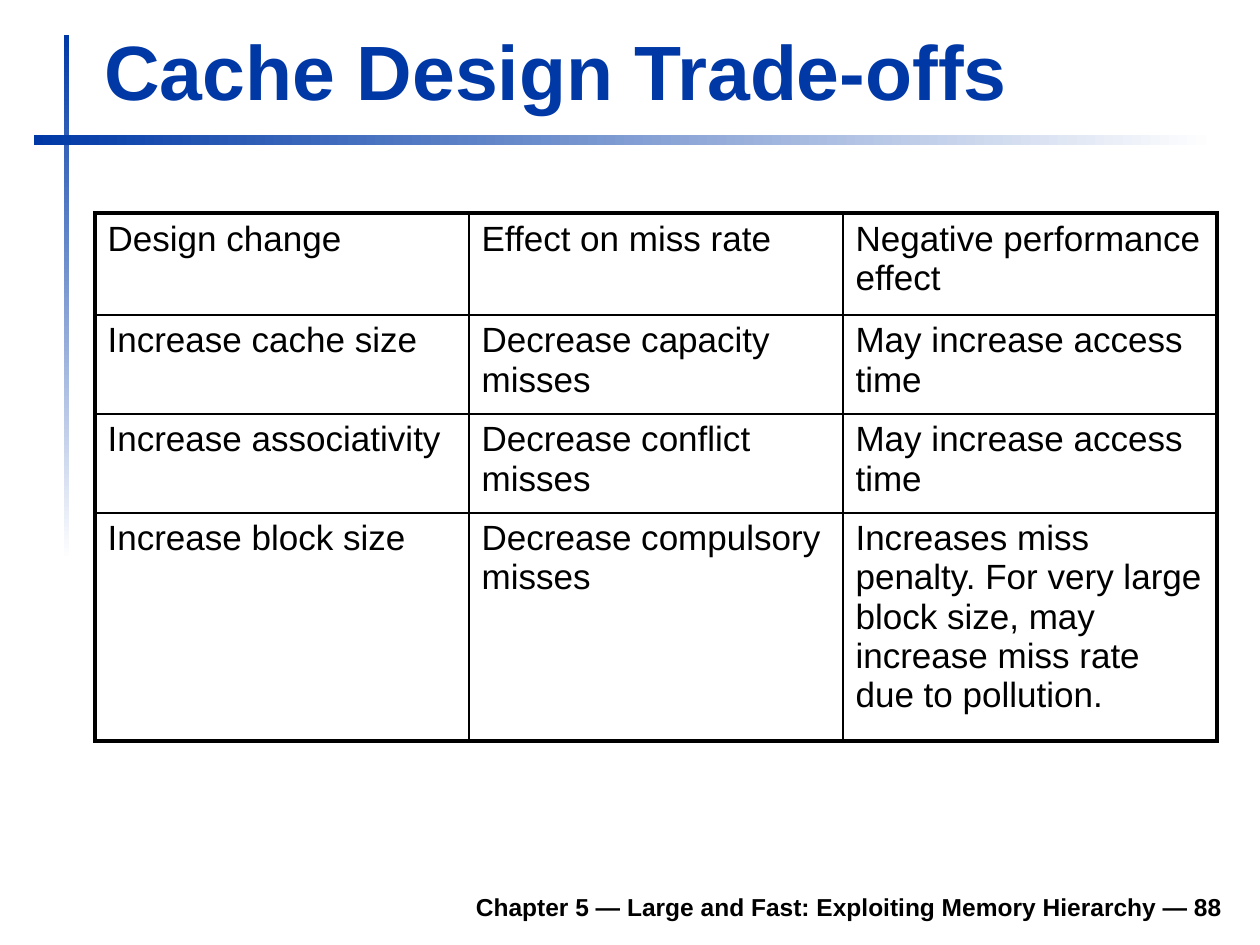
"""Build the slide on cache design trade-offs."""
import pptx
import pptx.dml.color
import pptx.enum.shapes
import pptx.enum.text
import pptx.oxml.ns
import pptx.util
import lxml.etree

BLUE, BLACK, WHITE = "0039A6", "000000", "FFFFFF"
FONT = "Arial"
TITLE = "Cache Design Trade-offs"
FOOTER = "Chapter 5 — Large and Fast: Exploiting Memory Hierarchy — 88"
ROWS = [
    ("Design change", "Effect on miss rate", "Negative performance effect"),
    ("Increase cache size", "Decrease capacity misses", "May increase access time"),
    ("Increase associativity", "Decrease conflict misses", "May increase access time"),
    ("Increase block size", "Decrease compulsory misses",
     "Increases miss penalty. For very large block size, may increase "
     "miss rate due to pollution."),
]
WIDTHS = [374] * 3
HEIGHTS = [102, 99, 99, 228]
ACROSS = [2.25, 1.5, 1, 1, 2.25]
DOWN = [2.25, 1, 1, 2.25]
BARS = [((64, 35, 5, 525), 270), ((34, 135, 1181, 10), 0)]
ALIGN = pptx.enum.text.PP_ALIGN
qn = pptx.oxml.ns.qn


def px(*nums):
    return [pptx.util.Emu(round(n * 914400 / 126)) for n in nums]


def tint(code):
    return pptx.dml.color.RGBColor.from_string(code)


def write(frame, text, size, color, bold=False, align=ALIGN.LEFT):
    frame.word_wrap = True
    para = frame.paragraphs[0]
    para.alignment = align
    run = para.add_run()
    run.text = text
    font = run.font
    font.name, font.size, font.bold = FONT, pptx.util.Pt(size), bold
    font.color.rgb = tint(color)


def label(slide, box, *style):
    frame = slide.shapes.add_textbox(*px(*box)).text_frame
    frame.vertical_anchor = pptx.enum.text.MSO_ANCHOR.BOTTOM
    write(frame, *style)


def bar(slide, box, angle):
    shape = slide.shapes.add_shape(
        pptx.enum.shapes.MSO_SHAPE.RECTANGLE, *px(*box))
    shape.shadow.inherit = False
    shape.line.fill.background()
    shape.fill.gradient()
    shape.fill.gradient_angle = angle
    for stop, color in zip(shape.fill.gradient_stops, (BLUE, WHITE)):
        stop.color.rgb = tint(color)


def border(cell, side, width):
    props = cell._tc.get_or_add_tcPr()
    line = lxml.etree.SubElement(
        props, qn("a:ln" + side), w=str(pptx.util.Pt(width)))
    fill = lxml.etree.SubElement(line, qn("a:solidFill"))
    lxml.etree.SubElement(fill, qn("a:srgbClr"), val=BLACK)


def grid(slide, left, top):
    box = px(left, top, sum(WIDTHS), sum(HEIGHTS))
    table = slide.shapes.add_table(len(ROWS), len(WIDTHS), *box).table
    table.first_row = table.horz_banding = False
    for col, width in zip(table.columns, px(*WIDTHS)):
        col.width = width
    for row, height in zip(table.rows, px(*HEIGHTS)):
        row.height = height
    for r, texts in enumerate(ROWS):
        for c, text in enumerate(texts):
            cell = table.cell(r, c)
            write(cell.text_frame, text, 20, BLACK)
            sides = DOWN[c], DOWN[c + 1], ACROSS[r], ACROSS[r + 1]
            for side, width in zip("LRTB", sides):
                border(cell, side, width)
            cell.fill.background()


def main():
    deck = pptx.Presentation()
    deck.slide_width, deck.slide_height = px(1260, 945)
    slide = deck.slides.add_slide(deck.slide_layouts[6])
    for box, angle in BARS:
        bar(slide, box, angle)
    label(slide, (233, 879, 1002, 49), FOOTER, 14, BLACK, True, ALIGN.RIGHT)
    label(slide, (92, 16, 1074, 106), TITLE, 44, BLUE, True)
    grid(slide, 95, 213)
    deck.save("out.pptx")


if __name__ == "__main__":
    main()
